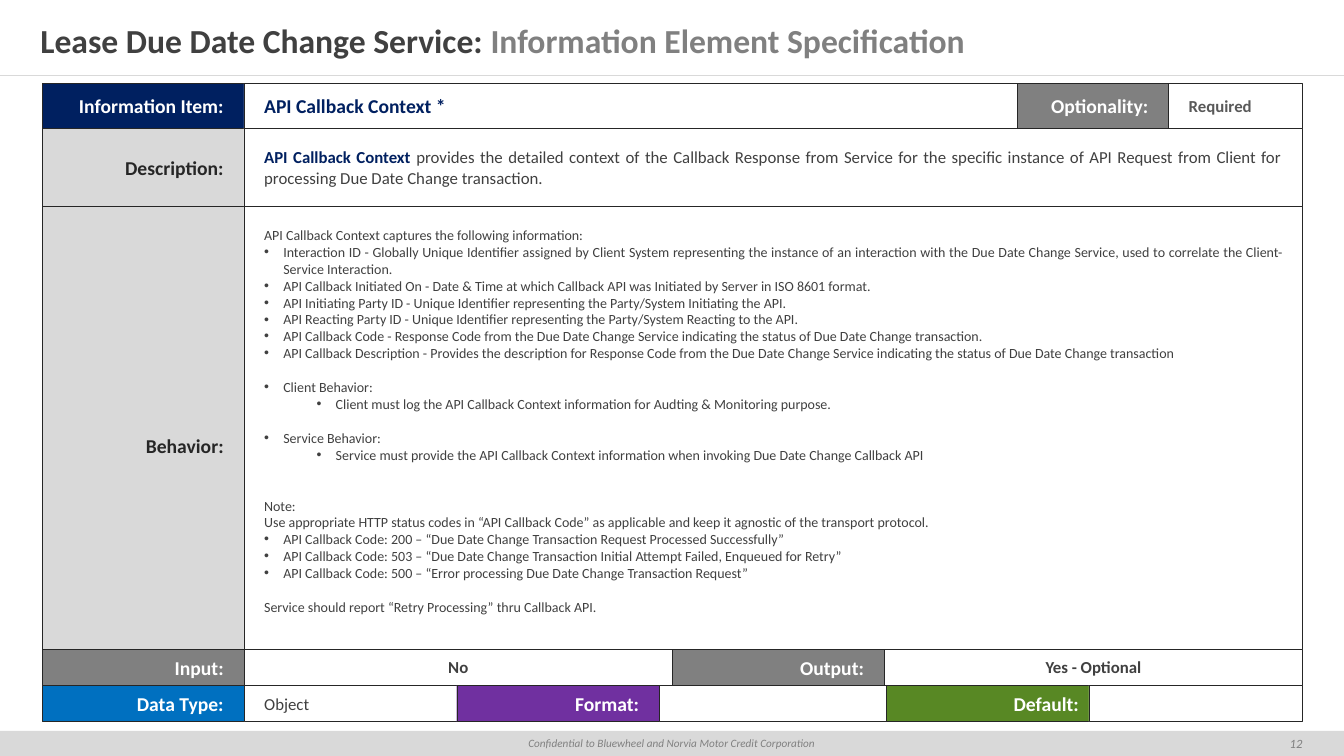
from itertools import accumulate

from lxml import etree
from pptx import Presentation
from pptx.dml.color import RGBColor
from pptx.enum import shapes as sh
from pptx.enum import text as tx
from pptx.oxml.ns import qn
from pptx.util import Inches, Pt

THEME = {
    "font": "Calibri",
    "ink": "404040", "dark": "262626", "mid": "595959", "grey": "808080",
    "pale": "D9D9D9", "white": "FFFFFF", "navy": "002060",
    "blue": "0070C0", "purple": "7030A0", "green": "588824",
    "title": 24, "label": 14, "value": 12, "body": 10, "page": 9, "foot": 8,
}
ALIGN = {"l": tx.PP_ALIGN.LEFT, "c": tx.PP_ALIGN.CENTER,
         "r": tx.PP_ALIGN.RIGHT, "j": tx.PP_ALIGN.JUSTIFY}

# Run: (text, size, colour, style), where style holds "b" and/or "i"
TITLE = [("Lease Due Date Change Service: ", "title", "ink", "b"),
         ("Information Element Specification", "title", "grey", "b")]
FOOT = [("Confidential to Bluewheel and Norvia Motor Credit Corporation",
         "foot", "grey", "i")]
PAGE = [("12", "page", "grey", "i")]

# Behavior line: (level, blank lines above, text); level 0 has no bullet
LINES = [
    (0, 0, "API Callback Context captures the following information:"),
    (1, 0, "Interaction ID - Globally Unique Identifier assigned by Client System "
           "representing the instance of an interaction with the Due Date Change "
           "Service, used to correlate the Client-Service Interaction."),
    (1, 0, "API Callback Initiated On - Date & Time at which Callback API was "
           "Initiated by Server in ISO 8601 format."),
    (1, 0, "API Initiating Party ID - Unique Identifier representing the "
           "Party/System Initiating the API."),
    (1, 0, "API Reacting Party ID - Unique Identifier representing the "
           "Party/System Reacting to the API."),
    (1, 0, "API Callback Code - Response Code from the Due Date Change Service "
           "indicating the status of Due Date Change transaction."),
    (1, 0, "API Callback Description - Provides the description for Response Code "
           "from the Due Date Change Service indicating the status of Due Date "
           "Change transaction"),
    (1, 1, "Client Behavior:"),
    (2, 0, "Client must log the API Callback Context information for Audting & "
           "Monitoring purpose."),
    (1, 1, "Service Behavior:"),
    (2, 0, "Service must provide the API Callback Context information when "
           "invoking Due Date Change Callback API"),
    (0, 2, "Note:"),
    (0, 0, "Use appropriate HTTP status codes in “API Callback Code” as applicable "
           "and keep it agnostic of the transport protocol."),
    (1, 0, "API Callback Code: 200 – “Due Date Change Transaction Request "
           "Processed Successfully”"),
    (1, 0, "API Callback Code: 503 – “Due Date Change Transaction Initial Attempt "
           "Failed, Enqueued for Retry”"),
    (1, 0, "API Callback Code: 500 – “Error processing Due Date Change Transaction "
           "Request”"),
    (0, 1, "Service should report “Retry Processing” thru Callback API."),
]
INDENT = (0, 0.19, 0.71)
HANG = 0.19
BLANK = 12.2  # points taken by one empty body line


def label(text, fill, ink="white"):
    return fill, "r", [(text, "label", ink, "b")]


def value(text="", align="l", ink="ink", style="b", size="value"):
    return "white", align, [(text, size, ink, style)] if text else []


# Row: (top, height, [(width, cell)]), where a cell is (fill, align, runs)
LEFT = 0.42
ABOUT = ("white", "j", [
    ("API Callback Context ", "value", "navy", "b"),
    ("provides the detailed context of the Callback Response from Service for the "
     "specific instance of API Request from Client for processing Due Date Change "
     "transaction.", "value", "ink", "")])
ROWS = [
    (0.83, 0.44, [(2, label("Information Item:", "navy")),
                  (7.67, value("API Callback Context *", ink="navy", size="label")),
                  (1.5, label("Optionality:", "grey")),
                  (1.33, value("Required", ink="mid"))]),
    (1.27, 0.78, [(2, label("Description:", "pale", "dark")), (10.5, ABOUT)]),
    (2.05, 4.75, [(2, label("Behavior:", "pale", "dark")), (10.5, value())]),
    (6.44, 0.36, [(2, label("Input:", "grey")), (4.25, value("No", "c")),
                  (2.1, label("Output:", "grey")),
                  (4.15, value("Yes - Optional", "c"))]),
    (6.8, 0.36, [(2, label("Data Type:", "blue")),
                 (2.11, value("Object", style="")),
                 (2.01, label("Format:", "purple")), (2.25, value()),
                 (2.01, label("Default:", "green")), (2.12, value())]),
]


def tint(name):
    return RGBColor.from_string(THEME[name])


def write(para, runs, align):
    para.alignment = ALIGN[align]
    for words, size, ink, style in runs:
        run = para.add_run()
        run.text = words
        font = run.font
        font.name, font.size = THEME["font"], Pt(THEME[size])
        font.bold, font.italic = "b" in style, "i" in style
        font.color.rgb = tint(ink)


def frame(shape, side=0.2, edge=0.05, anchor=tx.MSO_ANCHOR.MIDDLE):
    box = shape.text_frame
    box.word_wrap, box.vertical_anchor = True, anchor
    box.auto_size = tx.MSO_AUTO_SIZE.NONE
    box.margin_left = box.margin_right = Inches(side)
    box.margin_top = box.margin_bottom = Inches(edge)
    return box


def rect(slide, spot, fill, edge=None):
    shape = slide.shapes.add_shape(sh.MSO_SHAPE.RECTANGLE, *map(Inches, spot))
    shape.shadow.inherit = False
    shape.fill.solid()
    shape.fill.fore_color.rgb = tint(fill)
    if edge:
        shape.line.color.rgb, shape.line.width = tint(edge), Pt(0.25)
    else:
        shape.line.fill.background()
    return shape


def bullet(para, level):
    props = para._p.get_or_add_pPr()
    props.set("marL", str(Inches(INDENT[level])))
    props.set("indent", str(-Inches(HANG)))
    etree.SubElement(props, qn("a:buFont")).set("typeface", "Arial")
    etree.SubElement(props, qn("a:buChar")).set("char", "•")


def detail(shape):
    """Fill the large behavior cell with its bulleted lines."""
    box = frame(shape, edge=0.2, anchor=tx.MSO_ANCHOR.TOP)
    for i, (level, gap, words) in enumerate(LINES):
        para = box.add_paragraph() if i else box.paragraphs[0]
        para.space_before = Pt(gap * BLANK)
        write(para, [(words, "body", "ink", "")], "j")
        if level:
            para.level = level - 1
            bullet(para, level)


def grid(slide):
    for top, high, cells in ROWS:
        lefts = accumulate((wide for wide, _ in cells), initial=LEFT)
        for left, (wide, (fill, align, runs)) in zip(lefts, cells):
            shape = rect(slide, (left, top, wide, high), fill, "dark")
            if runs:
                side = 0.1 if fill == "green" else 0.2
                write(frame(shape, side).paragraphs[0], runs, align)
            elif top == 2.05:
                detail(shape)


def furniture(slide):
    """Place the title, its rule, the footer band and the page number."""
    title = slide.shapes.title
    title.left, title.top, title.width, title.height = map(
        Inches, (0, 0.16, 13.33, 0.48))
    write(frame(title, 0.4, 0.2).paragraphs[0], TITLE, "l")
    rule = slide.shapes.add_connector(
        sh.MSO_CONNECTOR.STRAIGHT, *map(Inches, (0, 0.75, 13.33, 0.75)))
    rule.line.color.rgb, rule.line.width = tint("pale"), Pt(0.25)
    etree.SubElement(rule._element.spPr, qn("a:effectLst"))
    band = rect(slide, (0, 7.25, 13.33, 0.25), "pale")
    write(frame(band).paragraphs[0], FOOT, "c")
    page = slide.shapes.add_textbox(*map(Inches, (12.5, 7.25, 0.71, 0.25)))
    write(frame(page, 0.1, 0.1).paragraphs[0], PAGE, "c")


def main():
    deck = Presentation()
    deck.slide_width, deck.slide_height = Inches(13.33), Inches(7.5)
    slide = deck.slides.add_slide(deck.slide_layouts[5])
    furniture(slide)
    grid(slide)
    deck.save("out.pptx")


if __name__ == "__main__":
    main()
